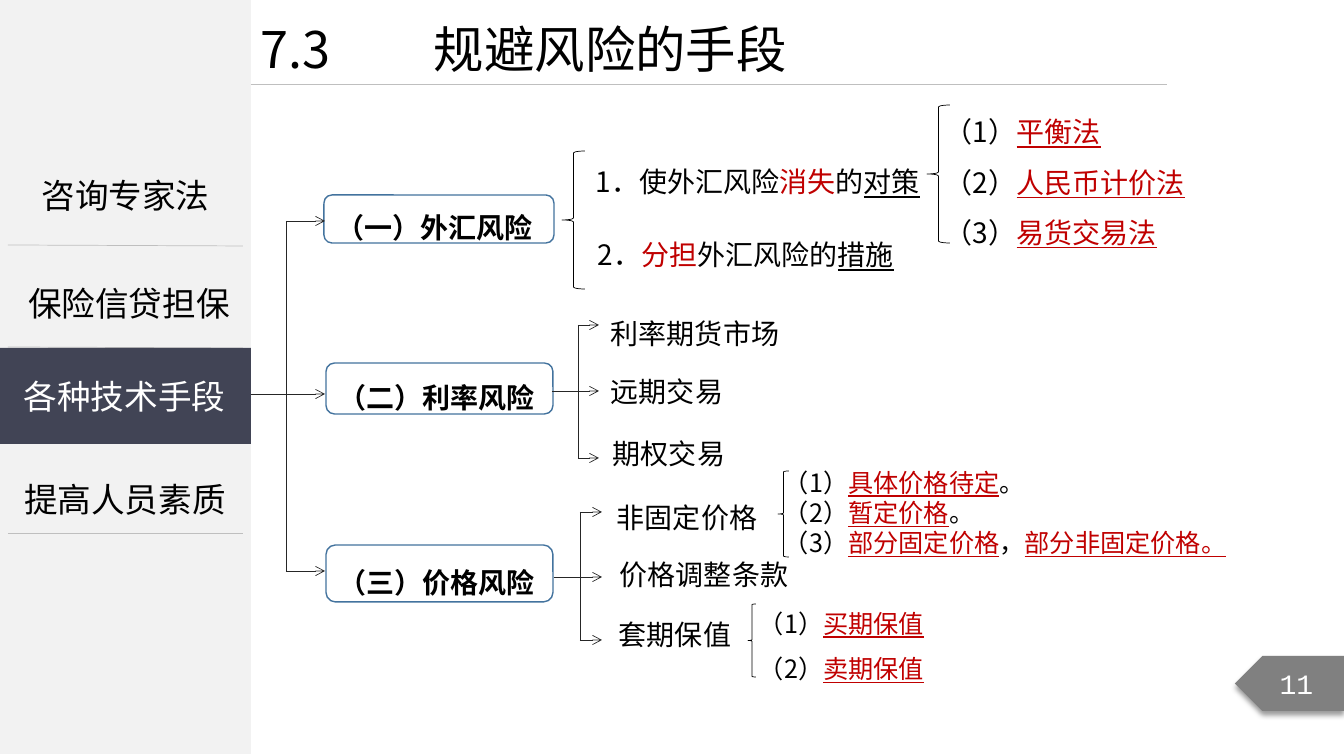
from lxml import etree
from pptx import Presentation
from pptx import util as u
from pptx.dml.color import RGBColor
from pptx.enum import shapes, text
from pptx.oxml.ns import qn

SCALE = 914400 / 100.8
FACE = "Noto Sans CJK SC"
BLACK = RGBColor(0, 0, 0)
WHITE = RGBColor(255, 255, 255)
RED = RGBColor(0xC0, 0, 0)
PALE = RGBColor(0xF2, 0xF2, 0xF2)
RULE = RGBColor(0xBF, 0xBF, 0xBF)
GRAY = RGBColor(0x80, 0x80, 0x80)
NAVY = RGBColor(0x41, 0x44, 0x55)
BLUE = RGBColor(0x43, 0x73, 0x9E)
INK = RGBColor(0x26, 0x26, 0x26)
LEFT, MID = text.PP_ALIGN.LEFT, text.PP_ALIGN.CENTER
KIND = shapes.MSO_SHAPE

deck = Presentation()
deck.slide_width, deck.slide_height = [round(n * SCALE) for n in (1344, 756)]
slide = deck.slides.add_slide(deck.slide_layouts[6])


def put(kind, area, paras=(), size=20, fill=None, edge=None, width=0.5,
        color=BLACK, bold=None, align=LEFT, space=None, mid=False,
        wrap=True, face=FACE, tab=None):
    """Add a shape, or a text box if kind is None; runs are (words, marks),
    with marks r for red and u for underline."""
    area = [round(n * SCALE) for n in area]
    if kind is None:
        item = slide.shapes.add_textbox(*area)
    else:
        item = slide.shapes.add_shape(kind, *area)
        item.shadow.inherit = False
        if fill is None:
            item.fill.background()
        else:
            item.fill.solid()
            item.fill.fore_color.rgb = fill
        if edge is None:
            item.line.fill.background()
        else:
            item.line.color.rgb = edge
            item.line.width = u.Pt(width)
    frame = item.text_frame
    frame.word_wrap = wrap
    frame.vertical_anchor = text.MSO_ANCHOR.MIDDLE if mid else text.MSO_ANCHOR.TOP
    for i, runs in enumerate(paras):
        para = frame.add_paragraph() if i else frame.paragraphs[0]
        para.alignment = align
        para.line_spacing = space
        for words, marks in runs:
            run = para.add_run()
            run.text = words
            font = run.font
            font.size, font.name, font.bold = u.Pt(size), face, bold
            font.color.rgb = RED if "r" in marks else color
            font.underline = True if "u" in marks else None
    for latin in item.element.iter(qn("a:latin")):
        east = etree.Element(qn("a:ea"), typeface=face)
        latin.addnext(east)
    if tab:
        for prop in item.element.iter(qn("a:pPr")):
            stops = etree.SubElement(prop, qn("a:tabLst"))
            etree.SubElement(stops, qn("a:tab"), pos=str(round(tab * SCALE)), algn="l")
    return item


def link(home, ends, color, arrow=False):
    """Draw a thin straight line in home, with an optional arrowhead."""
    ends = [round(n * SCALE) for n in ends]
    line = home.add_connector(shapes.MSO_CONNECTOR.STRAIGHT, *ends)
    line.line.color.rgb = color
    line.line.width = u.Pt(0.5)
    prop = line.element.spPr
    if arrow:
        etree.SubElement(prop.find(qn("a:ln")), qn("a:tailEnd"), type="arrow")
    etree.SubElement(prop, qn("a:effectLst"))


# Sidebar, title and page number
put(KIND.RECTANGLE, (-1, -2, 252, 756), fill=PALE)
for ends in ((251, 84, 1167, 84), (8, 347, 243, 348),
             (8, 533, 243, 533), (8, 245, 243, 246)):
    link(slide.shapes, ends, RULE)
put(None, (251, 13, 711, 72), [[("7.3\t规避风险的手段", "")]], 36, tab=173)

page = put(KIND.PENTAGON, (1235, 656, 109, 55), [[("11", "")]], fill=GRAY,
           color=WHITE, align=MID, mid=True, face="Courier New")
page.element.spPr.find(qn("a:xfrm")).set("flipH", "1")
glow = etree.SubElement(
    page.element.spPr.find(qn("a:effectLst")), qn("a:outerShdw"),
    blurRad=str(u.Pt(4)), dist=str(u.Pt(3)), dir="5400000", rotWithShape="0")
shade = etree.SubElement(glow, qn("a:srgbClr"), val="000000")
etree.SubElement(shade, qn("a:alpha"), val="40000")

put(None, (-1, 147, 253, 97), [[("咨询专家法", "")]], 24, align=MID, mid=True)
for words, x, y in (("保险信贷担保", -2, 258), ("提高人员素质", -6, 454)):
    put(None, (x, y, 262, 64), [[(words, "")]], 24, align=MID, space=1.5)

# Three kinds of risk
for words, area in (("（一）外汇风险", (324, 195, 230, 48)),
                    ("（二）利率风险", (326, 363, 227, 51)),
                    ("（三）价格风险", (326, 545, 227, 57))):
    put(KIND.ROUNDED_RECTANGLE, area, [[(words, "")]], edge=BLUE, width=1,
        bold=True, space=1.5, mid=True)

# Trees: start, trunk, tip, then the height of each branch
for start, trunk, tip, rows in ((246, 286, 325, (221, 394, 571)),
                                (552, 578, 599, (325, 391, 458)),
                                (554, 580, 602, (512, 577, 640))):
    tree = slide.shapes.add_group_shape().shapes
    link(tree, (trunk, rows[0], trunk, rows[-1]), INK)
    link(tree, (start, rows[1], trunk, rows[1]), INK)
    for y in rows:
        link(tree, (trunk, y, tip, y), INK, True)

put(KIND.RECTANGLE, (-2, 348, 253, 96), [[("各种技术手段", "")]], 24,
    fill=NAVY, color=WHITE, align=MID, mid=True)

for area in ((562, 151, 23, 138), (927, 105, 23, 138),
             (778, 471, 11, 86), (748, 604, 8, 73)):
    put(KIND.LEFT_BRACE, area, edge=BLACK)

# Branch labels
for words, x, y, w in (("利率期货市场", 601, 312, 190), ("远期交易", 601, 370, 133),
                       ("期权交易", 603, 432, 133), ("非固定价格", 607, 496, 161),
                       ("价格调整条款", 610, 553, 190), ("套期保值", 609, 613, 133)):
    put(None, (x, y, w, 44), [[(words, "")]], wrap=False)

# Measures
put(None, (586, 143, 358, 61),
    [[("1．使外汇风险", ""), ("消失", "r"), ("的", ""), ("对策", "u")]], space=1.5)
put(None, (588, 233, 320, 44),
    [[("2．", ""), ("分担", "r"), ("外汇风险的", ""), ("措施", "u")]])
put(None, (935, 93, 294, 163),
    [[("（1）", ""), ("平衡法", "ru")],
     [("（2）", ""), ("人民币计价法", "ru")],
     [("（3）", ""), ("易货交易法\t", "ru")]], space=1.5, tab=256)
put(None, (774, 462, 480, 102),
    [[("（1）", ""), ("具体价格待定", "ru"), ("。", "")],
     [("（2）", ""), ("暂定价格", "ru"), ("。", "")],
     [("（3）", ""), ("部分固定价格", "ru"), ("，", ""),
      ("部分非固定价格。", "ru")]], 18)
put(None, (749, 588, 232, 102),
    [[("（1）", ""), ("买期保值", "ru")],
     [("（2）", ""), ("卖期保值", "ru")]], 18, space=1.5)

deck.save("out.pptx")
